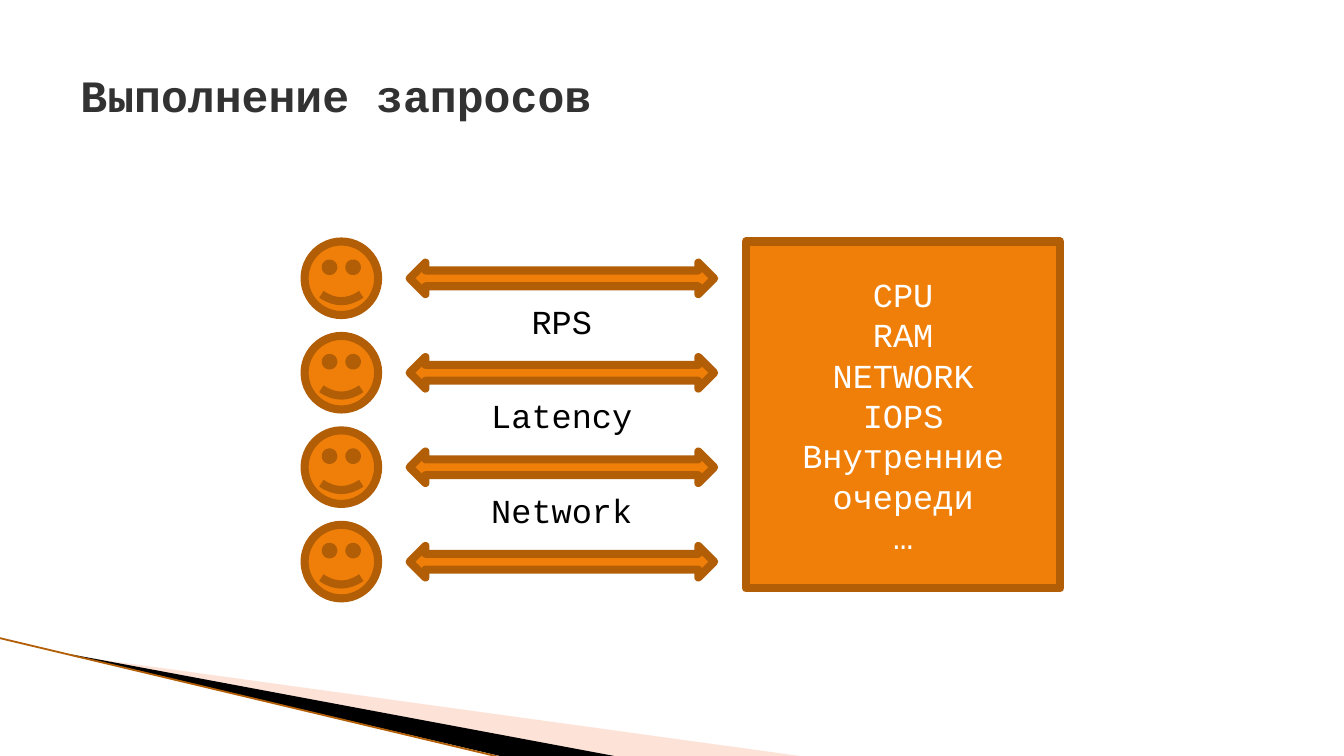
import pptx
import pptx.util
import pptx.dml.color
import pptx.enum.shapes
import pptx.enum.text
import pptx.oxml
import pptx.oxml.ns
import lxml.etree

Pt = pptx.util.Pt
RGBColor = pptx.dml.color.RGBColor
MSO_SHAPE = pptx.enum.shapes.MSO_SHAPE
PP_ALIGN = pptx.enum.text.PP_ALIGN
MSO_ANCHOR = pptx.enum.text.MSO_ANCHOR
qn = pptx.oxml.ns.qn

ORANGE = RGBColor(0xF0, 0x7F, 0x09)
BROWN = RGBColor(0xB2, 0x5E, 0x07)
PEACH = RGBColor(0xFC, 0xB7, 0x9B)
BLACK = RGBColor(0, 0, 0)
WHITE = RGBColor(255, 255, 255)
DARK_GRAY = RGBColor(0x32, 0x32, 0x32)

deck = pptx.Presentation()
deck.slide_width, deck.slide_height = Pt(720), Pt(405)
slide = deck.slides.add_slide(deck.slide_layouts[6])
shapes = slide.shapes


def add_orange_shape(preset, left, top, width, height):
    shape = shapes.add_shape(preset, Pt(left), Pt(top), Pt(width), Pt(height))
    shape.shadow.inherit = False
    shape.fill.solid()
    shape.fill.fore_color.rgb = ORANGE
    shape.line.color.rgb = BROWN
    shape.line.width = Pt(4.33)
    return shape


def write_text(shape, text, size, color, align, bold=False):
    frame = shape.text_frame
    frame.word_wrap = True
    frame.text = text
    for paragraph in frame.paragraphs:
        paragraph.alignment = align
        for run in paragraph.runs:
            run.font.name = "Courier New"
            run.font.size = Pt(size)
            run.font.bold = bold
            run.font.color.rgb = color


wedges = [
    (PEACH, 40, [(39.6, 351.4), (428.4, 405), (328.3, 405)]),
    (BLACK, 100, [(38.2, 350.6), (329, 405), (267.8, 405), (38.9, 351.4)]),
]
for color, opacity, points in wedges:
    corners = [(Pt(x), Pt(y)) for x, y in points]
    builder = shapes.build_freeform(*corners[0])
    builder.add_line_segments(corners[1:], close=True)
    wedge = builder.convert_to_shape()
    wedge.shadow.inherit = False
    wedge.fill.solid()
    wedge.fill.fore_color.rgb = color
    wedge.line.fill.background()
    if opacity < 100:
        tint = wedge.fill._xPr.find(".//" + qn("a:srgbClr"))
        lxml.etree.SubElement(tint, qn("a:alpha")).set("val", str(opacity * 1000))

edge = shapes.add_connector(
    pptx.enum.shapes.MSO_CONNECTOR.STRAIGHT, Pt(-0.5), Pt(341.8), Pt(267.5), Pt(405.5))
edge.line.color.rgb = BROWN
edge.line.width = Pt(0.95)
lxml.etree.SubElement(edge._element.spPr, qn("a:effectLst"))

title = shapes.add_textbox(Pt(36), Pt(16.8), Pt(648), Pt(67.5))
title.text_frame.vertical_anchor = MSO_ANCHOR.MIDDLE
write_text(title, "Выполнение запросов", 24, DARK_GRAY, PP_ALIGN.LEFT, bold=True)

server = add_orange_shape(MSO_SHAPE.RECTANGLE, 399.6, 129.4, 168.5, 185.8)
server.text_frame.vertical_anchor = MSO_ANCHOR.MIDDLE
write_text(server, "CPU\nRAM\nNETWORK\nIOPS\nВнутренние очереди\n…", 18, WHITE, PP_ALIGN.CENTER)

ROW_TOP, ROW_STEP = 129.4, 50.6
for row in range(4):
    top = ROW_TOP + row * ROW_STEP
    add_orange_shape(MSO_SHAPE.SMILEY_FACE, 163.2, top, 39.4, 39.4)
    add_orange_shape(MSO_SHAPE.LEFT_RIGHT_ARROW, 219.5, top + 11.3, 163.1, 16.9)

for row, metric in enumerate(["RPS", "Latency", "Network"]):
    label = shapes.add_textbox(
        Pt(241.9), Pt(ROW_TOP + row * ROW_STEP + 28.2), Pt(118.1), Pt(29.1))
    write_text(label, metric, 18, BLACK, PP_ALIGN.CENTER)

deck.save("out.pptx")
